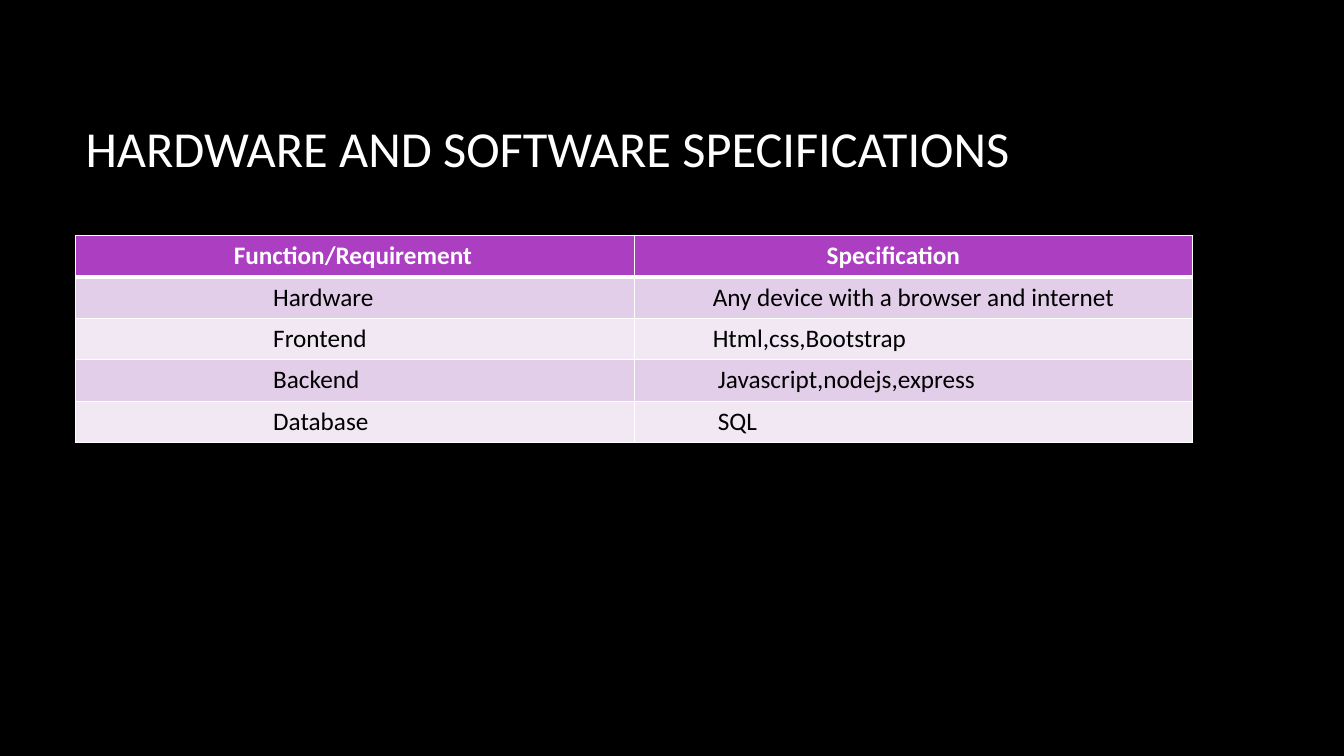
from lxml import etree
from pptx import Presentation
from pptx.dml.color import RGBColor
from pptx.enum import text
from pptx.oxml import ns
from pptx.util import Inches, Pt

COLORS = {
    "background": "000000",
    "light": "FFFFFF",
    "dark": "000000",
    "header": "AC3EC1",
    "odd": "E3CEE9",
    "even": "F1E8F4",
}
LEFT, WIDTH = 0.75, 11.08
ROW_HEIGHT = 0.41

# Each cell holds its wording and its left inset in inches.
SPECIFICATIONS = [
    [("Function/Requirement", 1.57), ("Specification", 1.91)],
    [("Hardware", 1.96), ("Any device with a browser and internet", 0.78)],
    [("Frontend", 1.96), ("Html,css,Bootstrap", 0.78)],
    [("Backend", 1.96), ("Javascript,nodejs,express", 0.83)],
    [("Database", 1.96), ("SQL", 0.83)],
]


class SlideBuilder:
    font = "Calibri"

    def __init__(self, page):
        self.page = page
        fill = page.background.fill
        fill.solid()
        fill.fore_color.rgb = self.color("background")

    def color(self, name):
        return RGBColor.from_string(COLORS[name])

    def add_span(self, frame, wording, size, color, bold=False):
        span = frame.paragraphs[0].add_run()
        span.text = wording
        span.font.name = self.font
        span.font.size = Pt(size)
        span.font.bold = bold
        span.font.color.rgb = self.color(color)

    def title(self, wording, left, top, width, height):
        box = self.page.shapes.add_textbox(
            Inches(left), Inches(top), Inches(width), Inches(height))
        frame = box.text_frame
        frame.word_wrap = True
        frame.vertical_anchor = text.MSO_ANCHOR.MIDDLE
        self.add_span(frame, wording, 36, "light")

    def border(self, cell, top, bottom):
        """Draw light cell edges; top and bottom are widths in points."""
        properties = cell._tc.get_or_add_tcPr()
        for edge, width in (("L", 1), ("R", 1), ("T", top), ("B", bottom)):
            line = etree.SubElement(
                properties, ns.qn(f"a:ln{edge}"), w=str(Pt(width)))
            solid = etree.SubElement(line, ns.qn("a:solidFill"))
            etree.SubElement(solid, ns.qn("a:srgbClr"), val=COLORS["light"])

    def table(self, rows, left, top, width, row_height):
        table = self.page.shapes.add_table(
            len(rows), len(rows[0]), Inches(left), Inches(top),
            Inches(width), Inches(row_height * len(rows))).table
        for number, row in enumerate(rows):
            header = number == 0
            band = "header" if header else "odd" if number % 2 else "even"
            table.rows[number].height = Inches(row_height)
            for column, (wording, inset) in enumerate(row):
                cell = table.cell(number, column)
                cell.margin_left = Inches(inset)
                # The heading rule is shared with the top of the first body row.
                self.border(cell, top=3 if number == 1 else 1,
                            bottom=3 if header else 1)
                cell.fill.solid()
                cell.fill.fore_color.rgb = self.color(band)
                self.add_span(cell.text_frame, wording, 18,
                              "light" if header else "dark", bold=header)


def main():
    deck = Presentation()
    deck.slide_width, deck.slide_height = Inches(13.33), Inches(7.5)
    slide = SlideBuilder(deck.slides.add_slide(deck.slide_layouts[6]))
    slide.title("HARDWARE AND SOFTWARE SPECIFICATIONS", LEFT, 0.67, WIDTH, 1.59)
    slide.table(SPECIFICATIONS, LEFT, 2.34, WIDTH, ROW_HEIGHT)
    deck.save("out.pptx")


if __name__ == "__main__":
    main()
